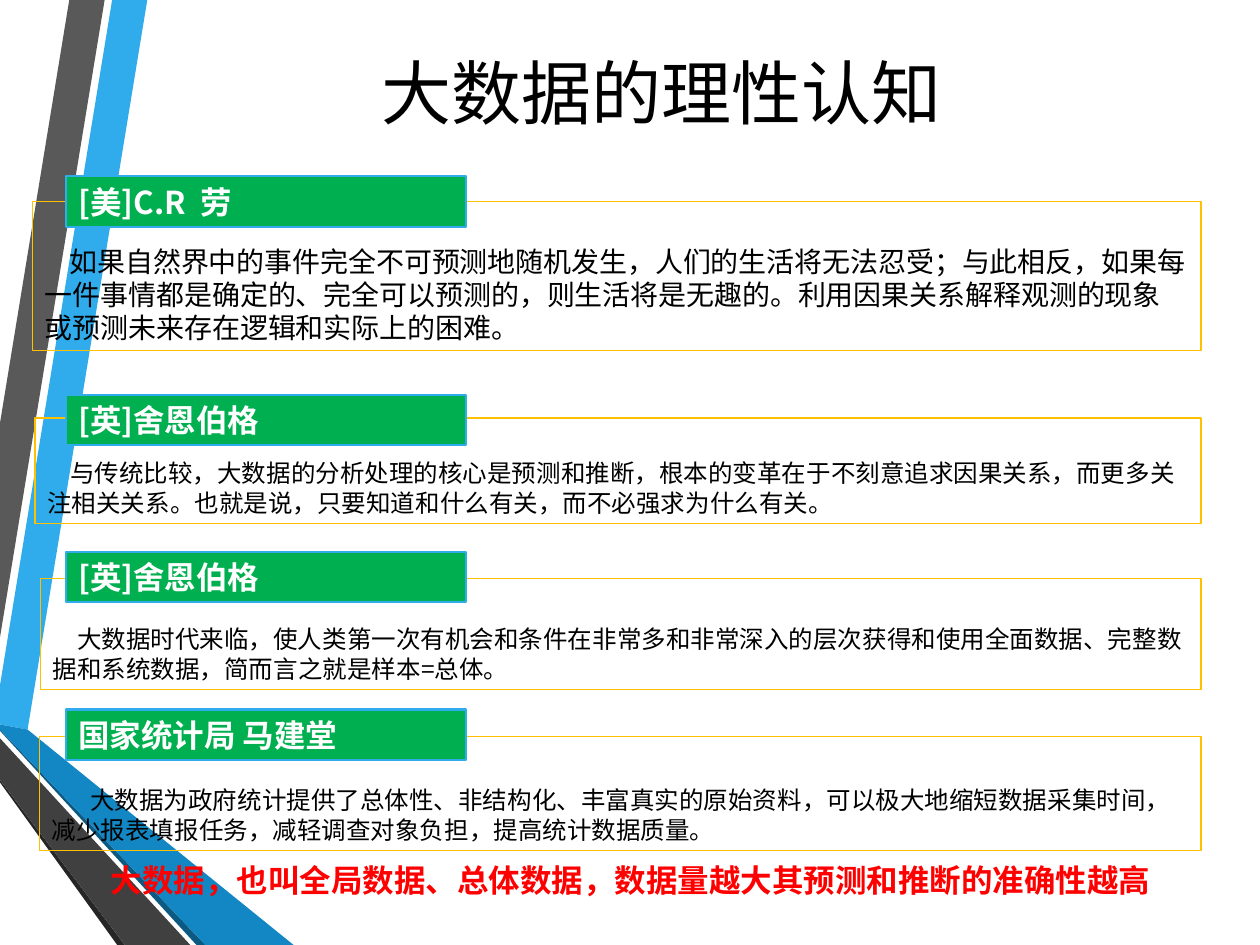
import pptx
import pptx.dml.color
import pptx.enum.shapes
import pptx.enum.text
import pptx.oxml.ns
import pptx.util
import lxml.etree

Pt = pptx.util.Pt
ALIGN = pptx.enum.text.PP_ALIGN
ANCHOR = pptx.enum.text.MSO_ANCHOR
CHINESE_FONT = "Noto Sans CJK SC"
LABEL_LEFT, LABEL_WIDTH, LABEL_HEIGHT = 37.6, 228.5, 28.8
PANEL_RIGHT = 686.3

RIBBONS = [
    ("30ACEC", [(0, 391.7), (0, 414), (15.8, 416.9), (84.2, 0), (64.1, 0)]),
    ("595959", [(59.8, 0), (39.6, 0), (0, 241.9), (0, 364.3)]),
    ("262626", [(0, 445.7), (0, 447.1), (67, 540), (71.3, 540)]),
    ("0C5A82", [(0, 416.9), (0, 417.6), (112.3, 540), (117.4, 540)]),
    ("1287C3", [(0, 416.9), (117.4, 540), (167.8, 540), (15.8, 416.9), (0, 414)]),
    ("404040", [(0, 445.7), (71.3, 540), (108.7, 540), (0, 421.9)]),
]

# label, label top, panel left, panel top, panel height, size, line height, indent, text
QUOTES = [
    ("[美]C.R  劳", 100.8, 18.6, 115.2, 85, 16, 19, 14,
     "如果自然界中的事件完全不可预测地随机发生，人们的生活将无法忍受；与此相反，如果每一件事情都是确定的、"
     "完全可以预测的，则生活将是无趣的。利用因果关系解释观测的现象或预测未来存在逻辑和实际上的困难。"),
    ("[英]舍恩伯格", 225.7, 20, 238.8, 60.4, 14, 17, 13,
     "与传统比较，大数据的分析处理的核心是预测和推断，根本的变革在于不刻意追求因果关系，而更多关注相关关系。"
     "也就是说，只要知道和什么有关，而不必强求为什么有关。"),
    ("[英]舍恩伯格", 315.4, 23, 330.4, 63.5, 14, 17, 14,
     "大数据时代来临，使人类第一次有机会和条件在非常多和非常深入的层次获得和使用全面数据、完整数据和系统数据，"
     "简而言之就是样本=总体。"),
    ("国家统计局 马建堂", 405.4, 22.5, 420.8, 65.2, 14, 17, 22,
     "大数据为政府统计提供了总体性、非结构化、丰富真实的原始资料，可以极大地缩短数据采集时间，"
     "减少报表填报任务，减轻调查对象负担，提高统计数据质量。"),
]


def color(value):
    return pptx.dml.color.RGBColor.from_string(value)


def write(box, text, size, ink, font=CHINESE_FONT, bold=False,
          align=ALIGN.LEFT, anchor=ANCHOR.MIDDLE):
    frame = box.text_frame
    frame.word_wrap = True
    frame.vertical_anchor = anchor
    frame.text = text
    para = frame.paragraphs[0]
    para.alignment = align
    span = para.runs[0]
    span.font.size = Pt(size)
    span.font.bold = bold
    span.font.color.rgb = color(ink)
    span.font.name = font
    east_asian = lxml.etree.SubElement(span.font._element, pptx.oxml.ns.qn("a:ea"))
    east_asian.set("typeface", CHINESE_FONT)
    return para


def add_ribbon(page, fill, points):
    corners = [(Pt(x), Pt(y)) for x, y in points]
    builder = page.shapes.build_freeform(*corners[0])
    builder.add_line_segments(corners[1:], close=True)
    ribbon = builder.convert_to_shape()
    ribbon.shadow.inherit = False
    ribbon.fill.solid()
    ribbon.fill.fore_color.rgb = color(fill)
    ribbon.line.fill.background()


def add_rectangle(page, left, top, width, height, line, line_width, fill=None):
    box = page.shapes.add_shape(pptx.enum.shapes.MSO_SHAPE.RECTANGLE,
                                Pt(left), Pt(top), Pt(width), Pt(height))
    box.shadow.inherit = False
    if fill:
        box.fill.solid()
        box.fill.fore_color.rgb = color(fill)
    else:
        box.fill.background()
    box.line.color.rgb = color(line)
    box.line.width = Pt(line_width)
    return box


def add_quote(page, label, label_top, left, top, height, size, line_height, indent, text):
    panel = add_rectangle(page, left, top, PANEL_RIGHT - left, height, "FFC000", 0.75)
    para = write(panel, text, size, "000000", anchor=ANCHOR.BOTTOM)
    para.line_spacing = Pt(line_height)
    para._p.get_or_add_pPr().set("indent", str(Pt(indent)))
    tag = add_rectangle(page, LABEL_LEFT, label_top, LABEL_WIDTH, LABEL_HEIGHT,
                        "30ACEC", 1.25, "00B050")
    write(tag, label, 18, "FFFFFF", bold=True)


def add_text(page, left, top, width, height, *args, **options):
    box = page.shapes.add_textbox(Pt(left), Pt(top), Pt(width), Pt(height))
    write(box, *args, **options)


def main():
    deck = pptx.Presentation()
    deck.slide_width, deck.slide_height = Pt(720), Pt(540)
    page = deck.slides.add_slide(deck.slide_layouts[6])
    for fill, points in RIBBONS:
        add_ribbon(page, fill, points)
    add_text(page, 74.5, 13, 607, 78, "大数据的理性认知", 40, "000000",
             font="Times New Roman", align=ALIGN.CENTER)
    for quote in QUOTES:
        add_quote(page, *quote)
    add_text(page, 56.2, 488.5, 629.3, 28.8,
             "大数据，也叫全局数据、总体数据，数据量越大其预测和推断的准确性越高",
             18, "FF0000", font="Cabin", bold=True)
    deck.save("out.pptx")


if __name__ == "__main__":
    main()
